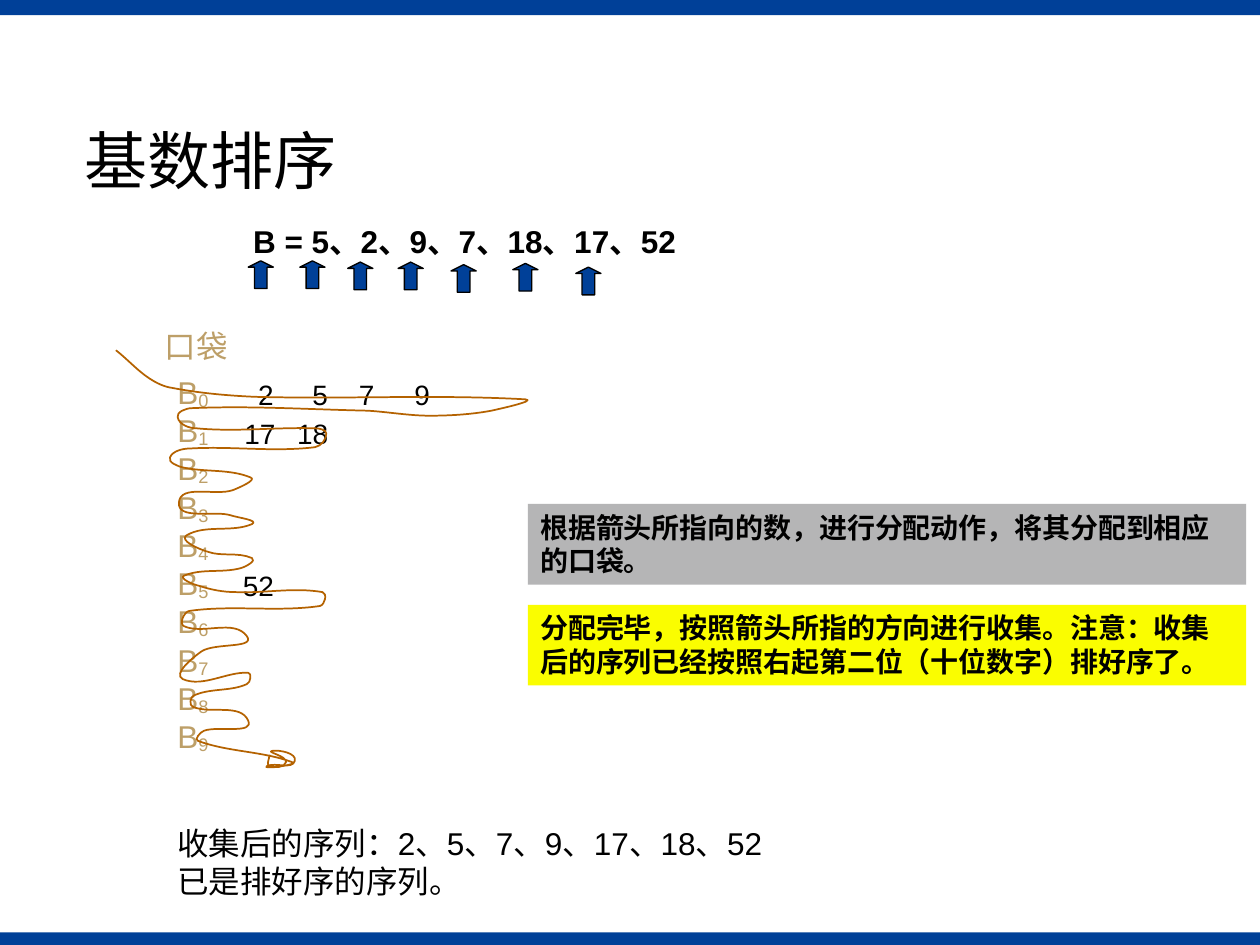
from math import dist, hypot

from lxml.etree import SubElement
from pptx import Presentation
from pptx.dml.color import RGBColor
from pptx.enum.shapes import MSO_SHAPE
from pptx.enum.text import MSO_ANCHOR, MSO_AUTO_SIZE, PP_ALIGN
from pptx.oxml.ns import qn
from pptx.util import Inches, Pt

THEME = {
    "latin": "Arial", "asian": "Noto Sans CJK SC",
    "blue": "004098", "black": "000000", "tan": "BD9F68", "brown": "B46200",
    "yellow": "FAFD00", "grey": "B5B5B6",
    "title": 36, "body": 18, "small": 16,
}

# Content: places are left, top, width, height in inches
TITLE = ("基数排序", (0.57, 0.93, 7.55, 0.74))
BARS = [(0, 7.4, 10, 0.1), (0, 0, 10, 0.12)]
SEQUENCE = ("B = 5、2、9、7、18、17、52", (0.41, 1.71, 6.89, 0.4))
SEQUENCE_INDENT = 1.5
POCKET_HEADING = ("口袋", (1.21, 2.55, 0.82, 0.33))
POCKETS = (10, (1.31, 2.91, 1.12, 3.13))
RESULT = (["收集后的序列：2、5、7、9、17、18、52", "已是排好序的序列。"],
          (1.31, 6.49, 6.78, 0.71))
NUMBER_ROWS = [  # top, then text, left and width of each number
    (2.95, [("2", 1.95, 0.49), ("5", 2.38, 0.49), ("7", 2.75, 0.43), ("9", 3.19, 0.52)]),
    (3.26, [("17", 1.84, 0.59), ("18", 2.26, 0.59)]),
    (4.46, [("52", 1.83, 0.59)]),
]
NUMBER_HEIGHT = 0.38
ARROWS = [(1.97, 2.07), (2.38, 2.07), (2.76, 2.08), (3.16, 2.08),
          (3.58, 2.1), (4.07, 2.09), (4.57, 2.12)]
ARROW_SIZE = (0.2, 0.22)
NOTES = [
    ("根据箭头所指向的数，进行分配动作，将其分配到相应的口袋。", 4.0, "grey"),
    ("分配完毕，按照箭头所指的方向进行收集。注意：收集后的序列已经按照右起第二位"
     "（十位数字）排好序了。", 4.8, "yellow"),
]
NOTE_LEFT, NOTE_SIZE = 4.19, (5.7, 0.64)

# Turning points of the collecting path, in hundredths of an inch
COLLECTING_PATH = [
    (92, 278), (118, 300), (137, 308), (202, 315), (417, 317), (390, 326),
    (341, 330), (292, 326), (152, 324), (141, 331), (156, 340), (250, 340),
    (259, 344), (250, 355), (151, 356), (135, 363), (145, 371), (199, 379),
    (185, 389), (142, 399), (183, 409), (200, 416), (148, 425), (165, 438),
    (200, 443), (191, 451), (146, 457), (158, 465), (187, 470), (256, 470),
    (254, 481), (150, 485), (146, 497), (196, 505), (160, 517), (145, 539),
    (197, 534), (196, 543), (154, 552), (153, 561), (197, 572), (162, 580),
    (157, 588), (232, 605), (212, 608), (234, 604), (216, 596), (227, 605),
    (214, 608), (214, 599),
]


def color(name):
    return RGBColor.from_string(THEME[name])


def inches(place):
    return [Inches(value) for value in place]


def add_span(para, text, size="body", ink="black", bold=False, latin="latin"):
    span = para.add_run()
    span.text = text
    style = {"name": THEME[latin], "size": Pt(THEME[size]), "bold": bold}
    for key, value in style.items():
        setattr(span.font, key, value)
    span.font.color.rgb = color(ink)
    SubElement(span.font._element, qn("a:ea"), typeface=THEME["asian"])
    return span


def set_frame(box, anchor=MSO_ANCHOR.TOP, fit=MSO_AUTO_SIZE.SHAPE_TO_FIT_TEXT):
    frame = box.text_frame
    layout = {"word_wrap": True, "auto_size": fit, "vertical_anchor": anchor}
    for key, value in layout.items():
        setattr(frame, key, value)
    return frame


def write(box, lines, **style):
    frame = set_frame(box)
    for index, line in enumerate(lines):
        para = frame.add_paragraph() if index else frame.paragraphs[0]
        para.alignment = PP_ALIGN.LEFT
        add_span(para, line, **style)
    return frame


def add_text(page, lines, place, **style):
    return write(page.shapes.add_textbox(*inches(place)), lines, **style)


def add_block(page, kind, place, fill, outlined=False):
    block = page.shapes.add_shape(kind, *inches(place))
    block.shadow.inherit = False
    block.fill.solid()
    block.fill.fore_color.rgb = color(fill)
    if outlined:
        block.line.color.rgb = color("black")
        block.line.width = Pt(0.75)
    else:
        block.line.fill.background()
    return block


def smooth(knots):
    """Return two handles and an end point for each stretch between knots."""
    padded = [knots[0], *knots, knots[-1]]
    headings = []
    for (x1, y1), (x2, y2) in zip(padded, padded[2:]):
        length = hypot(x2 - x1, y2 - y1) or 1
        headings.append(((x2 - x1) / length, (y2 - y1) / length))
    points = []
    for index, (start, end) in enumerate(zip(knots, knots[1:])):
        reach = dist(start, end) / 3
        leave, arrive = headings[index:index + 2]
        points += [(start[0] + reach * leave[0], start[1] + reach * leave[1]),
                   (end[0] - reach * arrive[0], end[1] - reach * arrive[1]), end]
    return points


def add_curve(page, knots):
    builder = page.shapes.build_freeform(*knots[0], scale=Inches(0.01))
    builder.add_line_segments(smooth(knots), close=False)
    curve = builder.convert_to_shape()
    curve.shadow.inherit = False
    curve.fill.background()
    curve.line.color.rgb = color("brown")
    curve.line.width = Pt(1)
    # Turn each three line points into one cubic curve
    outline = next(curve._element.iter(qn("a:path")))
    steps = outline.findall(qn("a:lnTo"))
    for first in range(0, len(steps), 3):
        cubic = SubElement(outline, qn("a:cubicBezTo"))
        for step in steps[first:first + 3]:
            cubic.append(step[0])
            outline.remove(step)


def main():
    deck = Presentation()
    deck.slide_width, deck.slide_height = Inches(10), Inches(7.5)
    page = deck.slides.add_slide(deck.slide_layouts[5])

    # Title and page bars
    title = page.shapes.title
    title.left, title.top, title.width, title.height = inches(TITLE[1])
    para = set_frame(title, MSO_ANCHOR.MIDDLE, MSO_AUTO_SIZE.NONE).paragraphs[0]
    para.alignment, para.line_spacing = PP_ALIGN.LEFT, 0.9
    add_span(para, TITLE[0], "title", latin="asian")
    for place in BARS:
        add_block(page, MSO_SHAPE.RECTANGLE, place, "blue")

    # Pockets with subscript numbers
    count, place = POCKETS
    frame = add_text(page, ["B"] * count, place, ink="tan")
    for number, para in enumerate(frame.paragraphs):
        span = add_span(para, str(number), ink="tan")
        span.font._element.set("baseline", "-10000")
    add_text(page, [POCKET_HEADING[0]], POCKET_HEADING[1], ink="tan")

    # Numbers in the pockets and the path that collects them
    for top, numbers in NUMBER_ROWS:
        for text, left, width in numbers:
            add_text(page, [text], (left, top, width, NUMBER_HEIGHT), size="small")
    add_curve(page, COLLECTING_PATH)
    add_text(page, *RESULT)

    # Sequence with its arrows
    for spot in ARROWS:
        add_block(page, MSO_SHAPE.UP_ARROW, spot + ARROW_SIZE, "blue", outlined=True).adjustments[1] = 0.25
    frame = add_text(page, [SEQUENCE[0]], SEQUENCE[1], bold=True)
    properties = frame.paragraphs[0]._p.get_or_add_pPr()
    properties.set("marL", str(Inches(SEQUENCE_INDENT)))
    properties.set("indent", "0")

    # Explanations
    for text, top, fill in NOTES:
        note = add_block(page, MSO_SHAPE.RECTANGLE, (NOTE_LEFT, top) + NOTE_SIZE, fill)
        write(note, [text], size="small", bold=True)

    deck.save("out.pptx")


if __name__ == "__main__":
    main()
